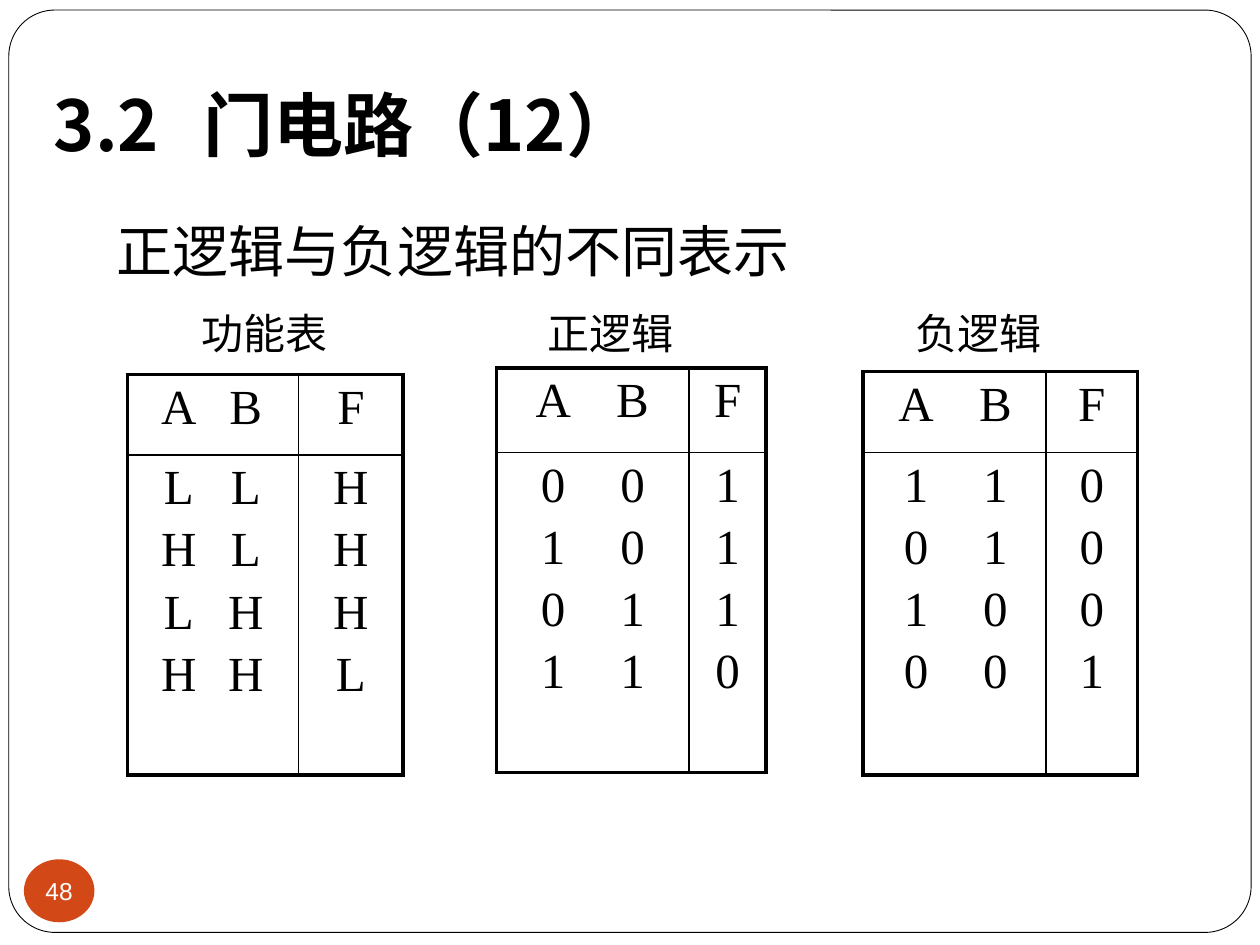
from dataclasses import dataclass

from lxml.etree import SubElement
from pptx import Presentation
from pptx.dml.color import RGBColor
from pptx.enum.shapes import MSO_SHAPE as SHAPE
from pptx.enum.text import MSO_ANCHOR as ANCHOR, PP_ALIGN as ALIGN
from pptx.oxml import parse_xml
from pptx.oxml.ns import nsdecls, qn
from pptx.util import Inches, Pt


@dataclass(frozen=True)
class Theme:
    black: str = "000000"
    white: str = "FFFFFF"
    accent: str = "D34817"
    cjk: str = "Noto Sans CJK JP"
    serif: str = "Times New Roman"
    sans: str = "Arial"
    title: int = 40
    heading: int = 32
    cell: int = 28
    caption: int = 24
    number: int = 14
    thick: float = 2.25
    thin: float = 1
    row_gap: float = 4.5


T = Theme()

TITLE = "3.2\t门电路（12）"
HEADING = "正逻辑与负逻辑的不同表示"
PAGE = "48"

# Each truth table lists its rows as the letters of A, B and F.
TABLES = [
    dict(caption="功能表", caption_box=(1.5, 2.39, 1.34, 0.5),
         at=(1.01, 2.97), cols=(1.36, 0.83), rows=(0.64, 2.54),
         tabs=(0.31, 0.84), values=("LLH", "HLH", "LHH", "HHL")),
    dict(caption="正逻辑", caption_box=(4.25, 2.39, 1.26, 0.5),
         at=(3.94, 2.92), cols=(1.53, 0.61), rows=(0.67, 2.54),
         tabs=(0.35, 0.98), values=("001", "101", "011", "110")),
    dict(caption="负逻辑", caption_box=(7.17, 2.39, 1.57, 0.5),
         at=(6.85, 2.95), cols=(1.45, 0.73), rows=(0.64, 2.56),
         tabs=(0.32, 0.95), values=("110", "010", "100", "001")),
]


def rgb(color):
    return RGBColor.from_string(color)


def style_runs(p, size, font, color=T.black, bold=False):
    for r in p.runs:
        r.font.size, r.font.name, r.font.bold = Pt(size), font, bold
        r.font.color.rgb = rgb(color)
        if font == T.cjk:
            SubElement(r.font._element, qn("a:ea"), typeface=font)


def add_tabs(p, stops, align):
    """Add tab stops, in inches from the left edge of the text."""
    tab_list = SubElement(p._p.get_or_add_pPr(), qn("a:tabLst"))
    for stop in stops:
        SubElement(tab_list, qn("a:tab"), pos=str(Inches(stop)), algn=align)


def add_text(s, box, text, size, bold=False):
    tf = s.shapes.add_textbox(*map(Inches, box)).text_frame
    tf.word_wrap = True
    tf.text = text
    style_runs(tf.paragraphs[0], size, T.cjk, bold=bold)
    return tf


def add_shape(s, kind, box, fill):
    sp = s.shapes.add_shape(kind, *map(Inches, box))
    sp.shadow.inherit = False
    sp.fill.solid()
    sp.fill.fore_color.rgb = rgb(fill)
    return sp


def set_borders(cell, widths):
    """Draw the left, right, top and bottom borders, widths in points."""
    tc_pr = cell._tc.get_or_add_tcPr()
    for i, (side, width) in enumerate(zip("LRTB", widths)):
        tc_pr.insert(i, parse_xml(
            f'<a:ln{side} {nsdecls("a")} w="{Pt(width)}"><a:solidFill>'
            f'<a:srgbClr val="{T.black}"/></a:solidFill></a:ln{side}>'))


def fill_cell(cell, lines, tabs):
    tf = cell.text_frame
    tf.text = "\n".join(lines)
    for i, p in enumerate(tf.paragraphs):
        p.alignment = ALIGN.LEFT if tabs else ALIGN.CENTER
        p.space_before = Pt(T.row_gap if i else 0)
        if tabs:
            add_tabs(p, tabs, "ctr")
        style_runs(p, T.cell, T.serif)


def add_truth_table(s, spec):
    add_text(s, spec["caption_box"], spec["caption"], T.caption)
    cols, rows = spec["cols"], spec["rows"]
    frame = s.shapes.add_table(2, 2, *map(Inches, (*spec["at"], sum(cols), sum(rows))))
    table = frame.table
    table.first_row = table.horz_banding = False
    for i in range(2):
        table.columns[i].width = Inches(cols[i])
        table.rows[i].height = Inches(rows[i])

    for row, values in enumerate((("ABF",), spec["values"])):
        inputs = [f"\t{a}\t{b}" for a, b, _ in values]
        outputs = [v[2] for v in values]
        for col, lines in enumerate((inputs, outputs)):
            cell = table.cell(row, col)
            cell.fill.background()
            outer = (col == 0, col == 1, row == 0, row == 1)
            set_borders(cell, [T.thick if edge else T.thin for edge in outer])
            fill_cell(cell, lines, spec["tabs"] if col == 0 else ())


def main():
    prs = Presentation()
    prs.slide_width, prs.slide_height = Inches(10), Inches(7.5)
    s = prs.slides.add_slide(prs.slide_layouts[6])

    frame = add_shape(s, SHAPE.ROUNDED_RECTANGLE, (0.07, 0.08, 9.86, 7.32), T.white)
    frame.adjustments[0] = 0.05
    frame.line.color.rgb = rgb(T.black)
    frame.line.width = Pt(0.5)

    tf = add_text(s, (0.33, 0.33, 9.42, 1.08), TITLE, T.title, bold=True)
    tf.vertical_anchor = ANCHOR.BOTTOM
    tf.margin_bottom = Inches(0.1)
    add_tabs(tf.paragraphs[0], [1.19], "l")

    add_text(s, (0.83, 1.67, 6.33, 0.63), HEADING, T.heading)
    for spec in TABLES:
        add_truth_table(s, spec)

    badge = add_shape(s, SHAPE.OVAL, (0.19, 6.82, 0.56, 0.5), T.accent)
    badge.line.fill.background()
    tf = badge.text_frame
    tf.margin_left = tf.margin_right = tf.margin_top = tf.margin_bottom = 0
    tf.word_wrap = False
    tf.vertical_anchor = ANCHOR.MIDDLE
    tf.text = PAGE
    tf.paragraphs[0].alignment = ALIGN.CENTER
    style_runs(tf.paragraphs[0], T.number, T.sans, T.white)

    prs.save("out.pptx")


if __name__ == "__main__":
    main()
